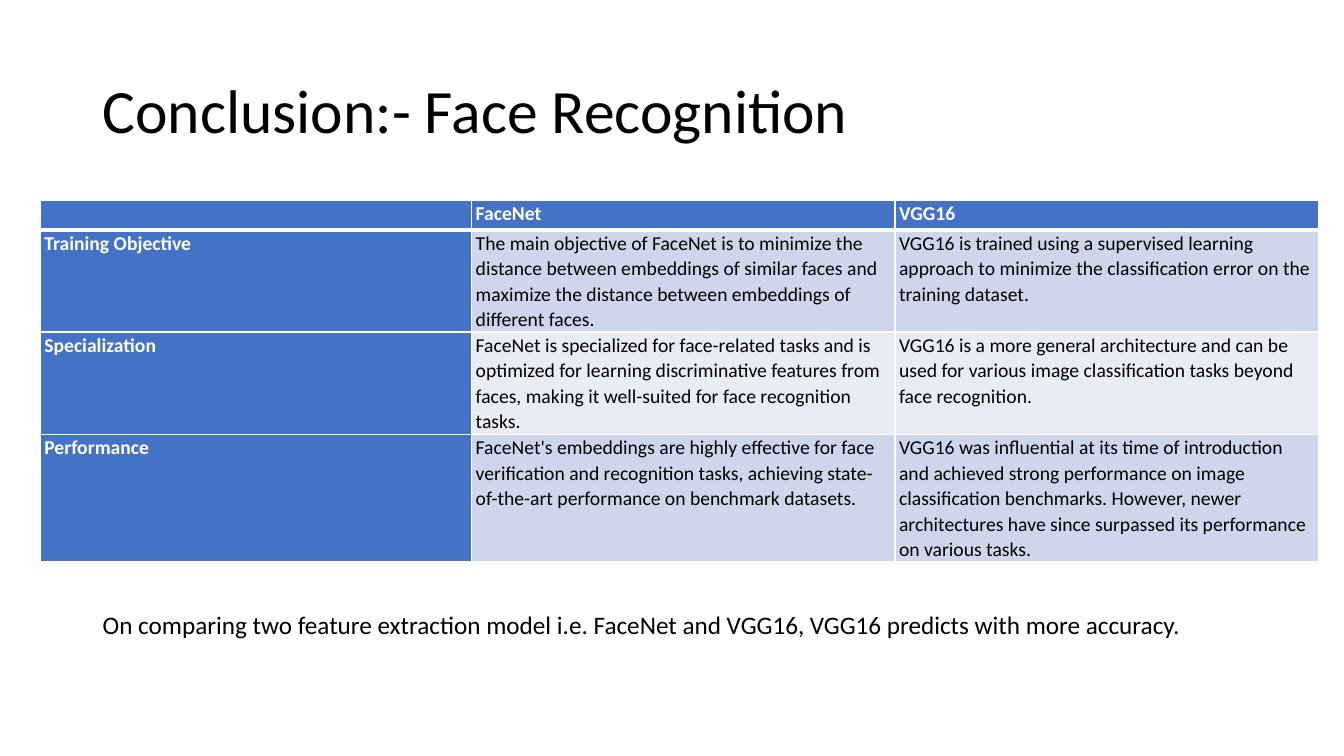
from dataclasses import dataclass

from lxml import etree
from pptx import Presentation
from pptx import util as u
from pptx.dml.color import RGBColor
from pptx.enum import text
from pptx.oxml import ns


@dataclass(frozen=True)
class Theme:
    font: str = "Calibri"
    ink: str = "000000"
    paper: str = "FFFFFF"
    accent: str = "4472C4"
    bands: tuple = ("CFD5EA", "E9EBF5")
    title_size: int = 44
    note_size: int = 18
    cell_size: int = 14
    thin_rule: int = 1
    header_rule: int = 3


def apply(target, values):
    for name, value in values.items():
        setattr(target, name, value)


class SlideBuilder:
    """Places elements by percentages of the slide's width and height."""

    def __init__(self, deck, theme):
        self.deck, self.theme = deck, theme
        self.slide = deck.slides.add_slide(deck.slide_layouts[6])

    def across(self, share):
        return round(self.deck.slide_width * share / 100)

    def down(self, share):
        return round(self.deck.slide_height * share / 100)

    def area(self, left, top, width, height):
        return self.across(left), self.down(top), self.across(width), self.down(height)

    def fill_para(self, para, words, size, color, bold=False, **spacing):
        apply(para, spacing)
        span = para.add_run() if words else para
        if words:
            span.text = words
        apply(span.font, {"name": self.theme.font, "size": u.Pt(size), "bold": bold})
        span.font.color.rgb = RGBColor.from_string(color)

    def text_box(self, area, words, size, anchor=text.MSO_ANCHOR.TOP, **spacing):
        box = self.slide.shapes.add_textbox(*self.area(*area))
        apply(box.text_frame, {"word_wrap": True, "vertical_anchor": anchor})
        self.fill_para(box.text_frame.paragraphs[0], words, size, self.theme.ink, **spacing)

    def border(self, cell, side, width):
        line = etree.SubElement(cell._tc.get_or_add_tcPr(), ns.qn(f"a:ln{side}"),
                                w=str(u.Pt(width)))
        fill = etree.SubElement(line, ns.qn("a:solidFill"))
        etree.SubElement(fill, ns.qn("a:srgbClr"), val=self.theme.paper)

    def cell(self, cell, words, row, column):
        theme = self.theme
        heading = row == 0 or column == 0
        apply(cell, {"margin_left": u.Inches(0.04), "margin_right": u.Inches(0.04),
                     "margin_top": 0, "margin_bottom": 0})
        # Borders come before the fill in the cell's properties
        rules = {"L": theme.thin_rule, "R": theme.thin_rule,
                 "T": theme.header_rule if row == 1 else theme.thin_rule,
                 "B": theme.header_rule if row == 0 else theme.thin_rule}
        for side, width in rules.items():
            self.border(cell, side, width)
        cell.fill.solid()
        color = theme.accent if heading else theme.bands[(row - 1) % 2]
        cell.fill.fore_color.rgb = RGBColor.from_string(color)
        self.fill_para(cell.text_frame.paragraphs[0], words, theme.cell_size,
                       theme.paper if heading else theme.ink, heading,
                       line_spacing=1.07, space_after=u.Pt(8))

    def table(self, left, top, widths, heights, rows):
        area = self.area(left, top, sum(widths), sum(heights))
        table = self.slide.shapes.add_table(len(rows), len(widths), *area).table
        for column, width in zip(table.columns, widths):
            column.width = self.across(width)
        for row, height in zip(table.rows, heights):
            row.height = self.down(height)
        for r, row in enumerate(rows):
            for c, words in enumerate(row):
                self.cell(table.cell(r, c), words, r, c)


COMPARISON = [
    ("", "FaceNet", "VGG16"),
    ("Training Objective",
     "The main objective of FaceNet is to minimize the distance between embeddings of "
     "similar faces and maximize the distance between embeddings of different faces.",
     "VGG16 is trained using a supervised learning approach to minimize the "
     "classification error on the training dataset."),
    ("Specialization",
     "FaceNet is specialized for face-related tasks and is optimized for learning "
     "discriminative features from faces, making it well-suited for face recognition tasks.",
     "VGG16 is a more general architecture and can be used for various image "
     "classification tasks beyond face recognition."),
    ("Performance",
     "FaceNet's embeddings are highly effective for face verification and recognition "
     "tasks, achieving state-of-the-art performance on benchmark datasets.",
     "VGG16 was influential at its time of introduction and achieved strong performance "
     "on image classification benchmarks. However, newer architectures have since "
     "surpassed its performance on various tasks."),
]


def main():
    deck = Presentation()
    apply(deck, {"slide_width": u.Inches(13.33), "slide_height": u.Inches(7.5)})
    theme = Theme()
    page = SlideBuilder(deck, theme)

    # Title
    page.text_box((6.9, 5.33, 86.25, 19.33), "Conclusion:- Face Recognition",
                  theme.title_size, text.MSO_ANCHOR.MIDDLE, line_spacing=0.9)

    # Model comparison
    page.table(3, 26.53, (32.1, 31.5, 31.5), (3.87, 13.53, 13.53, 16.8), COMPARISON)

    # Closing remark
    page.text_box((6.9, 80, 91.2, 5.33),
                  "On comparing two feature extraction model i.e. FaceNet and VGG16, "
                  "VGG16 predicts with more accuracy.", theme.note_size)

    deck.save("out.pptx")


if __name__ == "__main__":
    main()
